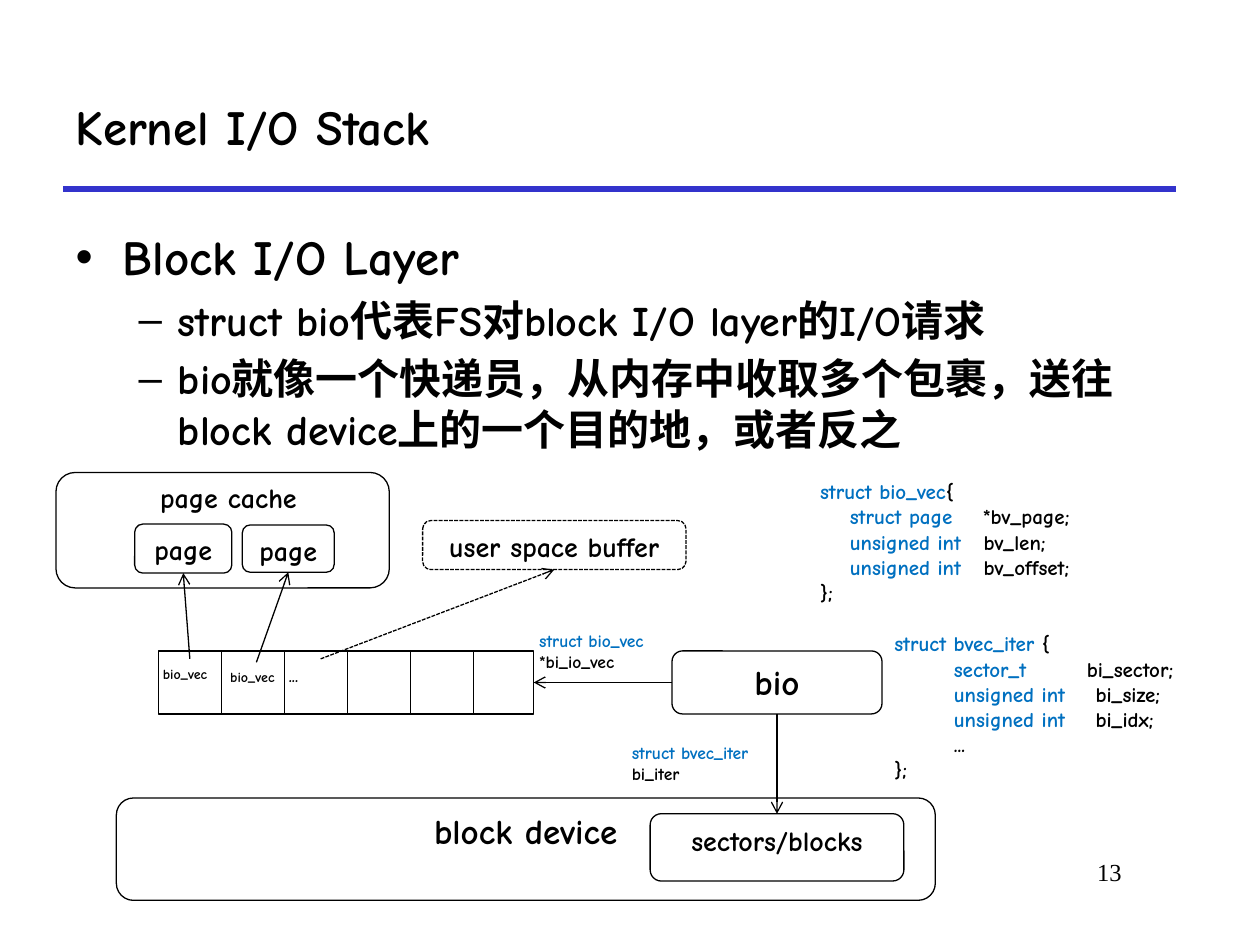
from dataclasses import dataclass

from lxml import etree
from pptx import Presentation
from pptx import util as u
from pptx.dml.color import RGBColor
from pptx.enum import dml, shapes, text
from pptx.oxml import ns

Pt = u.Pt
COLOURS = {"ink": "000000", "keyword": "0070C0", "paper": "FFFFFF", "rule": "3333CC"}
TOP, LEFT, BOTTOM, RIGHT = range(4)
HAIRLINE = 0.75


@dataclass
class Box:
    x: float
    y: float
    w: float
    h: float
    label: str = ""
    size: float = 16
    rounded: bool = True
    filled: bool = True
    dashed: bool = False


@dataclass
class Struct:
    """A C declaration; each member is (type, name, tab position of the name)."""
    x: float
    y: float
    w: float
    h: float
    name: str
    brace: str
    indent: float
    members: list[tuple[str, str, float]]


def colour(name: str) -> RGBColor:
    return RGBColor.from_string(COLOURS[name])


def write(frame, content, *, size=16, font="Comic Neue", bold=True, align=None,
          tabs=(), level=0, more=False) -> None:
    """Write one paragraph: a string, or a list of (string, colour name) runs."""
    para = frame.add_paragraph() if more else frame.paragraphs[0]
    para.level = level
    if align is not None:
        para.alignment = align
    if tabs:
        stops = etree.SubElement(para._p.get_or_add_pPr(), ns.qn("a:tabLst"))
        for stop in tabs:
            etree.SubElement(stops, ns.qn("a:tab"), pos=str(Pt(stop)), algn="l")
    for words, ink in [(content, "ink")] if isinstance(content, str) else content:
        run = para.add_run()
        run.text = words
        run.font.name, run.font.size, run.font.bold = font, Pt(size), bold
        run.font.color.rgb = colour(ink)


def place(shape, x: float, y: float, w: float, h: float) -> None:
    shape.left, shape.top, shape.width, shape.height = Pt(x), Pt(y), Pt(w), Pt(h)


def stroke(line, ink="ink", width=HAIRLINE, dashed=False) -> None:
    line.color.rgb = colour(ink)
    line.width = Pt(width)
    if dashed:
        line.dash_style = dml.MSO_LINE.SQUARE_DOT


def draw_box(slide, box: Box):
    kind = shapes.MSO_SHAPE.ROUNDED_RECTANGLE if box.rounded else shapes.MSO_SHAPE.RECTANGLE
    shape = slide.shapes.add_shape(kind, Pt(box.x), Pt(box.y), Pt(box.w), Pt(box.h))
    shape.shadow.inherit = False
    if box.filled:
        shape.fill.solid()
        shape.fill.fore_color.rgb = colour("paper")
    else:
        shape.fill.background()
    stroke(shape.line, dashed=box.dashed)
    if box.label:
        shape.text_frame.word_wrap = False
        shape.text_frame.vertical_anchor = text.MSO_ANCHOR.TOP
        write(shape.text_frame, box.label, size=box.size, align=text.PP_ALIGN.CENTER)
    return shape


def draw_text(slide, x: float, y: float, w: float, h: float, content=None, **style):
    shape = slide.shapes.add_textbox(Pt(x), Pt(y), Pt(w), Pt(h))
    shape.text_frame.word_wrap = True
    if content:
        write(shape.text_frame, content, **style)
    return shape


def draw_line(slide, x1=0.0, y1=0.0, x2=0.0, y2=0.0, **style):
    line = slide.shapes.add_connector(shapes.MSO_CONNECTOR.STRAIGHT,
                                      Pt(x1), Pt(y1), Pt(x2), Pt(y2))
    stroke(line.line, **style)
    etree.SubElement(line._element.spPr, ns.qn("a:effectLst"))
    return line


def draw_arrow(slide, start, start_side: int, end, end_side: int, dashed=False) -> None:
    arrow = draw_line(slide, dashed=dashed)
    arrow.begin_connect(start, start_side)
    arrow.end_connect(end, end_side)
    etree.SubElement(arrow.line._get_or_add_ln(), ns.qn("a:tailEnd"), type="arrow")


def draw_struct(slide, code: Struct) -> None:
    frame = draw_text(slide, code.x, code.y, code.w, code.h).text_frame
    write(frame, [("struct " + code.name, "keyword"), (code.brace, "ink")], size=12)
    for kind, name, stop in code.members:
        runs = [("\t" + kind, "keyword" if name else "ink")]
        if name:
            runs.append(("\t" + name, "ink"))
        write(frame, runs, size=12, tabs=(code.indent, stop), more=True)
    write(frame, "};", size=12, more=True)


def main() -> None:
    deck = Presentation()
    deck.slide_width, deck.slide_height = Pt(720), Pt(540)
    slide = deck.slides.add_slide(deck.slide_layouts[1])

    # Title, rule, bullets and page number
    draw_line(slide, 36, 108, 672, 108, ink="rule", width=3)
    title, body = slide.shapes.title, slide.placeholders[1]
    place(title, 36, 36, 636, 72)
    place(body, 36, 126, 654, 348)
    for holder in (title, body):
        holder.text_frame.auto_size = text.MSO_AUTO_SIZE.NONE
    title.text_frame.vertical_anchor = text.MSO_ANCHOR.MIDDLE
    write(title.text_frame, "Kernel I/O Stack", size=28, align=text.PP_ALIGN.LEFT)
    write(body.text_frame, "Block I/O Layer", size=28)
    for point in ("struct bio代表FS对block I/O layer的I/O请求",
                  "bio就像一个快递员，从内存中收取多个包裹，送往block device上的一个目的地，或者反之"):
        write(body.text_frame, point, size=24, level=1, more=True)
    draw_text(slide, 546, 486, 102, 36, "13", size=14, font="Times New Roman",
              bold=False, align=text.PP_ALIGN.RIGHT)

    # Block device and bio
    draw_box(slide, Box(66.5, 456, 468, 58.5, "block device", 20))
    sectors = draw_box(slide, Box(371.5, 465, 145, 38.5, "sectors/blocks"))
    bio = draw_box(slide, Box(384, 372, 120, 36, "bio", 20))

    # Array of bio_vec cells
    cell, cells, left, top = 36, 6, 90.5, 372
    vectors = draw_box(slide, Box(left, top, 214.5, 36, rounded=False))
    for i in range(1, cells):
        x = left + i * cell
        draw_line(slide, x, top, x, top + cell)
    first = draw_text(slide, 86, 376.5, 45, 16.5, "bio_vec", size=8)
    second = draw_text(slide, 124.5, 378.5, 44, 16.5, "bio_vec", size=8)
    others = draw_text(slide, 158, 376.5, 50.5, 19.5, "...", size=10)

    # Memory the cells point to
    page_1 = draw_box(slide, Box(77, 299.5, 55.5, 28, "page"))
    page_2 = draw_box(slide, Box(138.5, 300, 52.5, 27, "page"))
    draw_box(slide, Box(32, 270, 190.5, 66, filled=False))
    draw_text(slide, 84.5, 271, 143.5, 26.5, "page cache", size=16)
    user_buffer = draw_box(slide, Box(241.5, 297.5, 150.5, 28, "user space buffer", dashed=True))

    # Pointers
    draw_arrow(slide, bio, LEFT, vectors, RIGHT)
    draw_arrow(slide, bio, BOTTOM, sectors, TOP)
    draw_arrow(slide, first, TOP, page_1, BOTTOM)
    draw_arrow(slide, second, TOP, page_2, BOTTOM)
    draw_arrow(slide, others, TOP, user_buffer, BOTTOM, dashed=True)
    draw_text(slide, 301, 356.5, 91, 31.5,
              [("struct bio_vec", "keyword"), (" *bi_io_vec", "ink")], size=10)
    draw_text(slide, 354, 420.5, 93.5, 31.5,
              [("struct bvec_iter", "keyword"), (" bi_iter", "ink")], size=10)

    # Declarations
    draw_struct(slide, Struct(461.5, 270, 212.5, 80, "bio_vec", "{", 17, [
        ("struct page", "*bv_page;", 93),
        ("unsigned int", "bv_len;", 93.5),
        ("unsigned int", "bv_offset;", 93.5)]))
    draw_struct(slide, Struct(504, 357, 208, 94.5, "bvec_iter", " {", 34, [
        ("sector_t", "bi_sector;", 110),
        ("unsigned int", "bi_size;", 115),
        ("unsigned int", "bi_idx;", 115),
        ("...", "", 115)]))

    deck.save("out.pptx")


if __name__ == "__main__":
    main()
